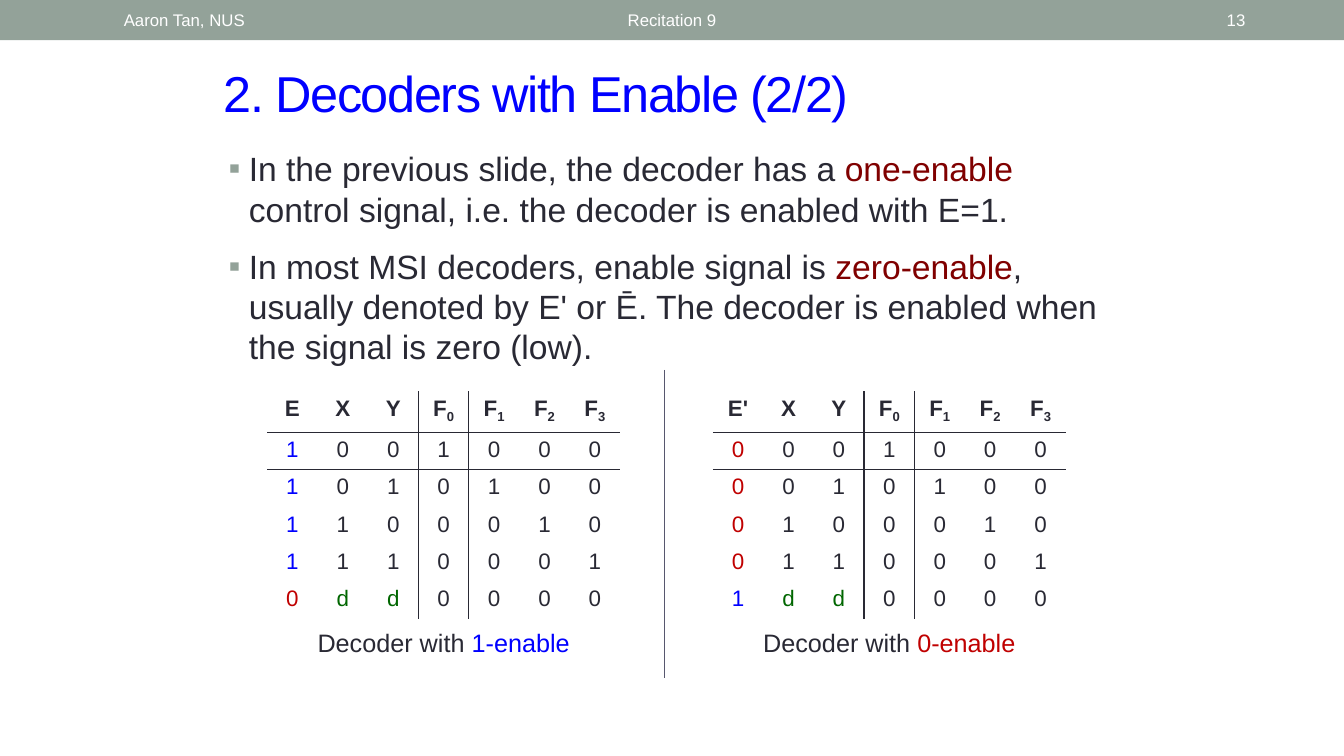
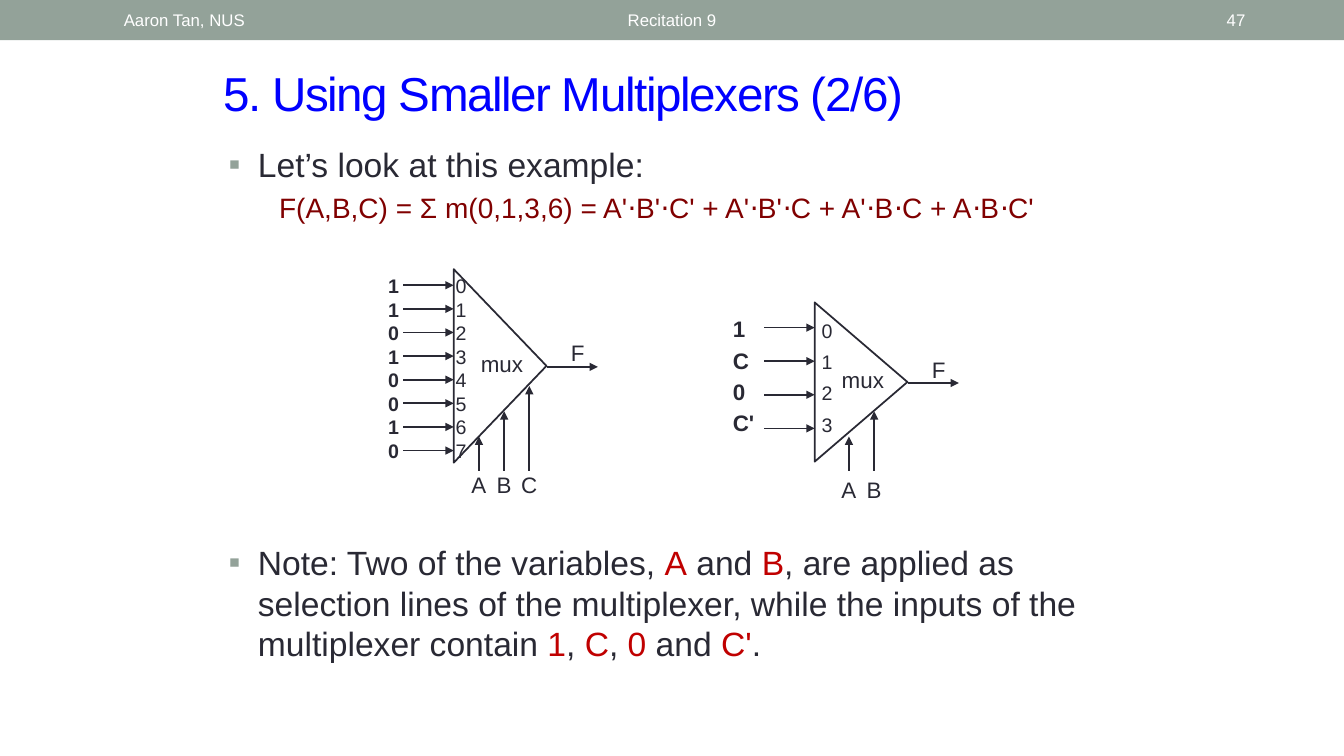
from lxml.etree import SubElement
from pptx import Presentation
from pptx.dml.color import RGBColor
from pptx.enum.shapes import MSO_CONNECTOR, MSO_SHAPE
from pptx.enum.text import MSO_ANCHOR, PP_ALIGN
from pptx.oxml.ns import qn
from pptx.util import Inches, Pt

INK, WHITE, SAGE, SLATE = "292934", "FFFFFF", "93A299", "57576E"
BLUE, RED, MAROON, GREEN = "0000FF", "C00000", "800000", "006600"


def rgb(hex_code):
    return RGBColor.from_string(hex_code)


class Lecture:
    """Holds the style of the deck and the slide being filled."""

    font = "Arial"

    def __init__(self):
        self.deck = Presentation()
        self.deck.slide_width = Inches(13.33)
        self.deck.slide_height = Inches(7.5)
        self.page = None

    def add_page(self, title, number, title_size):
        self.page = self.deck.slides.add_slide(self.deck.slide_layouts[6])
        # Header band
        band = self.page.shapes.add_shape(
            MSO_SHAPE.RECTANGLE, 0, 0, Inches(13.33), Inches(0.4))
        band.shadow.inherit = False
        band.fill.solid()
        band.fill.fore_color.rgb = rgb(SAGE)
        band.line.fill.background()
        for text, left, width, align in (
                ("Aaron Tan, NUS", 1.13, 3.17, PP_ALIGN.LEFT),
                ("Recitation 9", 3.02, 7.29, PP_ALIGN.CENTER),
                (str(number), 11.5, 0.95, PP_ALIGN.RIGHT)):
            self.text([[(text, WHITE)]], left, 0.02, width, 0.36, 12,
                      align=align, anchor=MSO_ANCHOR.MIDDLE)
        # Title
        box = self.text([[(title, BLUE)]], 2.12, 0.57, 9.3, 0.7, title_size,
                        anchor=MSO_ANCHOR.MIDDLE)
        span = box.text_frame.paragraphs[0].runs[0]
        span.font._element.set("spc", "-100")

    def span(self, para, text, size, color=INK, bold=False, subscript=False):
        span = para.add_run()
        span.text = text
        span.font.name = self.font
        span.font.size = Pt(size)
        span.font.bold = bold
        span.font.color.rgb = rgb(color)
        if subscript:
            span.font._element.set("baseline", "-25000")

    def text(self, paras, left, top, width, height, size, bold=False, gap=0,
             bullet=0, align=PP_ALIGN.LEFT, anchor=MSO_ANCHOR.TOP):
        """Each paragraph is a list of (text, color); bullet is the indent."""
        box = self.page.shapes.add_textbox(
            Inches(left), Inches(top), Inches(width), Inches(height))
        frame = box.text_frame
        frame.word_wrap = True
        frame.vertical_anchor = anchor
        for index, runs in enumerate(paras):
            para = frame.paragraphs[0] if index == 0 else frame.add_paragraph()
            para.alignment = align
            para.space_before = Pt(gap if index else 0)
            if bullet:
                self.bullet(para, bullet)
            for text, color in runs:
                self.span(para, text, size, color, bold)
        return box

    def bullet(self, para, indent):
        props = para._p.get_or_add_pPr()
        props.set("marL", str(Inches(indent)))
        props.set("indent", str(-Inches(indent)))
        color = SubElement(props, qn("a:buClr"))
        SubElement(color, qn("a:srgbClr"), val=SAGE)
        SubElement(props, qn("a:buFont"), typeface=self.font)
        SubElement(props, qn("a:buChar"), char="▪")

    def column(self, labels, left, top, width, size, **style):
        """A stack of short labels, one a line."""
        self.text([[(label, INK)] for label in labels], left, top, width,
                  0.1 + len(labels) * size / 60, size, **style)

    def label(self, text, center, middle):
        self.text([[(text, INK)]], center - 0.25, middle - 0.18, 0.5, 0.37, 16,
                  align=PP_ALIGN.CENTER)

    def line(self, start, end, color=INK, width=1.25, arrow=True):
        line = self.page.shapes.add_connector(
            MSO_CONNECTOR.STRAIGHT, *(Inches(v) for v in (*start, *end)))
        line.line.color.rgb = rgb(color)
        line.line.width = Pt(width)
        if arrow:
            SubElement(line.line._get_or_add_ln(), qn("a:tailEnd"),
                       type="triangle")
        SubElement(line._element.spPr, qn("a:effectLst"))

    def borders(self, cell, sides):
        """Rule the named sides of a cell and clear the others."""
        props = cell._tc.get_or_add_tcPr()
        for side in "LRTB":
            edge = SubElement(props, qn(f"a:ln{side}"), w=str(Pt(1)))
            if side in sides:
                fill = SubElement(edge, qn("a:solidFill"))
                SubElement(fill, qn("a:srgbClr"), val=INK)
            else:
                SubElement(edge, qn("a:noFill"))

    def truth_table(self, enable, rows, left):
        heads = (enable, "X", "Y", "F0", "F1", "F2", "F3")
        frame = self.page.shapes.add_table(
            len(rows) + 1, len(heads), Inches(left), Inches(3.88),
            Inches(3.5), Inches(2.26))
        table = frame.table
        for col in table.columns:
            col.width = Inches(0.5)
        colors = {"1": BLUE, "0": RED}
        row_sides = {0: "B", 1: "TB", 2: "T"}
        col_sides = {2: "R", 3: "LR", 4: "L"}
        for r, values in enumerate([heads, *rows]):
            table.rows[r].height = Inches(0.37 if r else 0.41)
            for c, value in enumerate(values):
                cell = table.cell(r, c)
                self.borders(cell, row_sides.get(r, "") + col_sides.get(c, ""))
                cell.fill.background()
                para = cell.text_frame.paragraphs[0]
                para.alignment = PP_ALIGN.CENTER
                if r == 0:
                    self.span(para, value[0] if c > 2 else value, 16, bold=True)
                    if c > 2:
                        self.span(para, value[1], 16, bold=True, subscript=True)
                else:
                    color = GREEN if value == "d" else INK
                    if c == 0:
                        color = colors[value]
                    self.span(para, value, 16, color)

    def mux(self, edge, middle, height, input_top, input_step, inputs,
            selects, select_offset, select_middle):
        """A multiplexer whose flat side stands at x = edge."""
        depth = 0.92
        # Body, turned to point right
        body = self.page.shapes.add_shape(
            MSO_SHAPE.ISOSCELES_TRIANGLE,
            Inches(edge + (depth - height) / 2), Inches(middle - depth / 2),
            Inches(height), Inches(depth))
        body.rotation = 90
        body.shadow.inherit = False
        body.fill.background()
        body.line.color.rgb = rgb(INK)
        body.line.width = Pt(1.25)
        self.column(["mux"], edge + 0.17, middle - 0.21, 0.75, 16)
        # Inputs, output and selection lines
        for i in range(inputs):
            y = input_top + i * input_step
            self.line((edge - 0.5, y), (edge, y))
        self.line((edge + 0.93, middle + 0.01), (edge + 1.43, middle + 0.01))
        self.label("F", edge + 1.23, middle - 0.13)
        for i, name in enumerate(selects):
            x = edge + select_offset + i * 0.25
            self.line((x, 4.67), (x, 4.33 - i * 0.25))
            self.label(name, x, select_middle)


def decoder_page(show):
    show.add_page("2. Decoders with Enable (2/2)", 13, 36)
    show.text([
        [("In the previous slide, the decoder has a ", INK),
         ("one-enable", MAROON),
         (" control signal, i.e. the decoder is enabled with E=1.", INK)],
        [("In most MSI decoders, enable signal is ", INK),
         ("zero-enable", MAROON),
         (", usually denoted by E' or Ē. The decoder is enabled when "
          "the signal is zero (low).", INK)],
    ], 2.17, 1.42, 9, 2.39, 24, gap=12, bullet=0.2)

    # Truth tables: enable value when active, then when idle
    outputs = ("001000", "010100", "100010", "110001")
    for enable, active, idle, left, name, color in (
            ("E", "1", "0", 2.65, "1-enable", BLUE),
            ("E'", "0", "1", 7.07, "0-enable", RED)):
        rows = [active + bits for bits in outputs] + [idle + "dd0000"]
        show.truth_table(enable, rows, left)
        show.text([[("Decoder with ", INK), (name, color)]],
                  left, 6.17, 3.5, 0.4, 18, align=PP_ALIGN.CENTER)
    show.line((6.59, 3.67), (6.59, 6.73), SLATE, 1, arrow=False)


def multiplexer_page(show):
    show.add_page("5. Using Smaller Multiplexers (2/6)", 47, 34)
    show.text([[("Let’s look at this example:", INK)]],
              2.17, 1.38, 9, 0.5, 24, bullet=0.29)
    show.text([[("F(A,B,C) = Σ m(0,1,3,6) = "
                 "A'⋅B'⋅C' + A'⋅B'⋅C + A'⋅B⋅C + A⋅B⋅C'", MAROON)]],
              2.67, 1.84, 8.5, 0.43, 20)

    # Eight-input multiplexer
    show.mux(4.5, 3.63, 1.92, 2.83, 1.64 / 7, 8, "ABC", 0.25, 4.81)
    show.column("01234567", 4.42, 2.67, 0.42, 14)
    show.column("11010010", 3.75, 2.67, 0.42, 14, bold=True)

    # Four-input multiplexer
    show.mux(8.08, 3.79, 1.58, 3.25, 1 / 3, 4, "AB", 0.34, 4.85)
    show.column("0123", 8.05, 3.11, 0.42, 14, gap=5.6)
    show.column(["1", "C", "0", "C'"], 7.17, 3.08, 0.5, 16, bold=True, gap=3.2)

    show.text([[
        ("Note: Two of the variables, ", INK), ("A", RED), (" and ", INK),
        ("B", RED),
        (", are applied as selection lines of the multiplexer, while the "
         "inputs of the multiplexer contain ", INK),
        ("1", RED), (", ", INK), ("C", RED), (", ", INK), ("0", RED),
        (" and ", INK), ("C'", RED), (".", INK),
    ]], 2.17, 5.33, 9, 1.42, 24, bullet=0.29)


def main():
    show = Lecture()
    decoder_page(show)
    multiplexer_page(show)
    show.deck.save("out.pptx")


if __name__ == "__main__":
    main()
